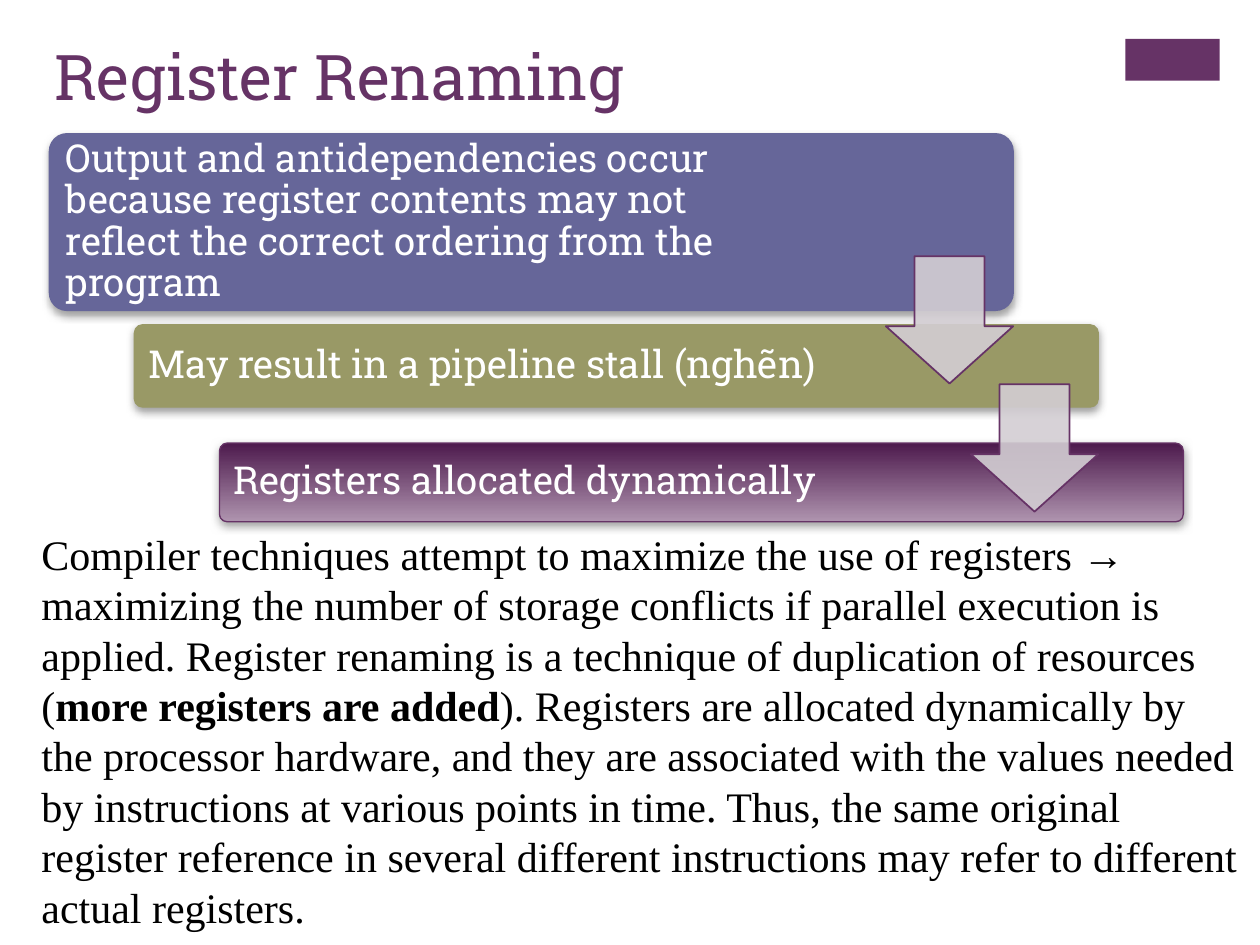
from dataclasses import dataclass

from lxml.etree import SubElement
from pptx import Presentation
from pptx.dml.color import RGBColor as RGB
from pptx.enum.shapes import MSO_SHAPE as Shape
from pptx.enum.text import MSO_ANCHOR as Anchor
from pptx.oxml.ns import qn
from pptx.util import Pt


@dataclass(frozen=True)
class Theme:
    purple: str = "663366"
    blue: str = "666699"
    olive: str = "999966"
    gradient: tuple = ("4D1A4D", "AF94AF")
    arrow: str = "D3CED3"
    shadow: str = "808080"
    white: str = "FFFFFF"
    black: str = "000000"
    heading_font: str = "Roboto Slab"
    body_font: str = "Times New Roman"
    title_size: float = 36
    card_size: float = 22
    body_size: float = 24


class SlideBuilder:
    def __init__(self, slide, theme):
        self.s = slide
        self.theme = theme

    def shape(self, kind, box, fill, line=None, line_width=0.75):
        """Fill is one colour, or a pair for a top-to-bottom gradient."""
        sp = self.s.shapes.add_shape(kind, *map(Pt, box))
        sp.shadow.inherit = False
        if isinstance(fill, tuple):
            sp.fill.gradient()
            sp.fill.gradient_angle = 270
            for stop, color in zip(sp.fill.gradient_stops, fill):
                stop.color.rgb = RGB.from_string(color)
        else:
            sp.fill.solid()
            sp.fill.fore_color.rgb = RGB.from_string(fill)
        if line:
            sp.line.color.rgb = RGB.from_string(line)
            sp.line.width = Pt(line_width)
        else:
            sp.line.fill.background()
        return sp

    def text(self, box, runs, font, size, color, anchor=Anchor.TOP,
             margins=(7.2, 3.6), line_spacing=None):
        """Runs are (text, bold) pairs of one paragraph."""
        tf = self.s.shapes.add_textbox(*map(Pt, box)).text_frame
        tf.word_wrap = True
        tf.vertical_anchor = anchor
        tf.margin_left = tf.margin_right = Pt(margins[0])
        tf.margin_top = tf.margin_bottom = Pt(margins[1])
        p = tf.paragraphs[0]
        if line_spacing:
            p.line_spacing = line_spacing
        for content, bold in runs:
            r = p.add_run()
            r.text = content
            r.font.name = font
            r.font.size = Pt(size)
            r.font.bold = bold
            r.font.color.rgb = RGB.from_string(color)

    def drop_shadow(self, sp):
        effects = sp._element.spPr.find(qn("a:effectLst"))
        shadow = SubElement(effects, qn("a:outerShdw"), blurRad=str(Pt(5)),
                            dist=str(Pt(2)), dir="5400000", rotWithShape="0")
        color = SubElement(shadow, qn("a:srgbClr"), val=self.theme.shadow)
        SubElement(color, qn("a:alpha"), val="75000")

    def card(self, box, pad, text_width, content, fill, line):
        t = self.theme
        x, y, w, h = box
        sp = self.shape(Shape.ROUNDED_RECTANGLE, box, fill, line)
        sp.adjustments[0] = 0.1
        self.drop_shadow(sp)
        self.text((x + pad, y + pad, text_width, h - 2 * pad),
                  [(content, False)], t.heading_font, t.card_size, t.white,
                  Anchor.MIDDLE, (6.6, 6.6), 0.9)

    def arrow(self, x, y, size):
        t = self.theme
        sp = self.shape(Shape.DOWN_ARROW, (x, y, size, size), t.arrow, t.purple, 1)
        sp.adjustments[0] = 0.55
        sp.adjustments[1] = 0.45
        color = sp._element.spPr.find(qn("a:solidFill"))[0]
        SubElement(color, qn("a:alpha"), val="90000")


def main():
    t = Theme()
    prs = Presentation()
    prs.slide_width, prs.slide_height = Pt(720), Pt(540)
    b = SlideBuilder(prs.slides.add_slide(prs.slide_layouts[6]), t)

    b.shape(Shape.RECTANGLE, (643, 22.3, 54, 23.8), t.purple)

    left, step, width = 28.2, 48.6, 550.8
    cards = [
        (76.4, 101, 2.9, 430.6, t.blue, t.blue,
         "Output and antidependencies occur because register contents "
         "may not reflect the correct ordering from the program"),
        (185.6, 47, 1.2, 426.2, t.olive, t.olive,
         "May result in a pipeline stall (nghẽn)"),
        (253.2, 45, 1.2, 426.2, t.gradient, t.purple,
         "Registers allocated dynamically"),
    ]
    for i, (y, h, pad, text_width, fill, line, content) in enumerate(cards):
        b.card((left + i * step, y, width, h), pad, text_width, content, fill, line)

    size = 72.8
    for i in range(len(cards) - 1):
        b.arrow(left + i * step + width - size, 146.4 + i * 73.2, size)

    b.text((23.8, 18, 594.7, 87.8), [("Register Renaming", False)],
           t.heading_font, t.title_size, t.purple)
    b.text((16.6, 298.4, 697.7, 239.8), [
        ("Compiler techniques attempt to maximize the use of registers → "
         "maximizing the number of storage conflicts if parallel execution is "
         "applied. Register renaming is a technique of duplication of "
         "resources (", False),
        ("more registers are added", True),
        ("). Registers are allocated dynamically by the processor hardware, "
         "and they are associated with the values needed by instructions at "
         "various points in time. Thus, the same original register reference "
         "in several different instructions may refer to different actual "
         "registers.", False),
    ], t.body_font, t.body_size, t.black)

    prs.save("out.pptx")


if __name__ == "__main__":
    main()
